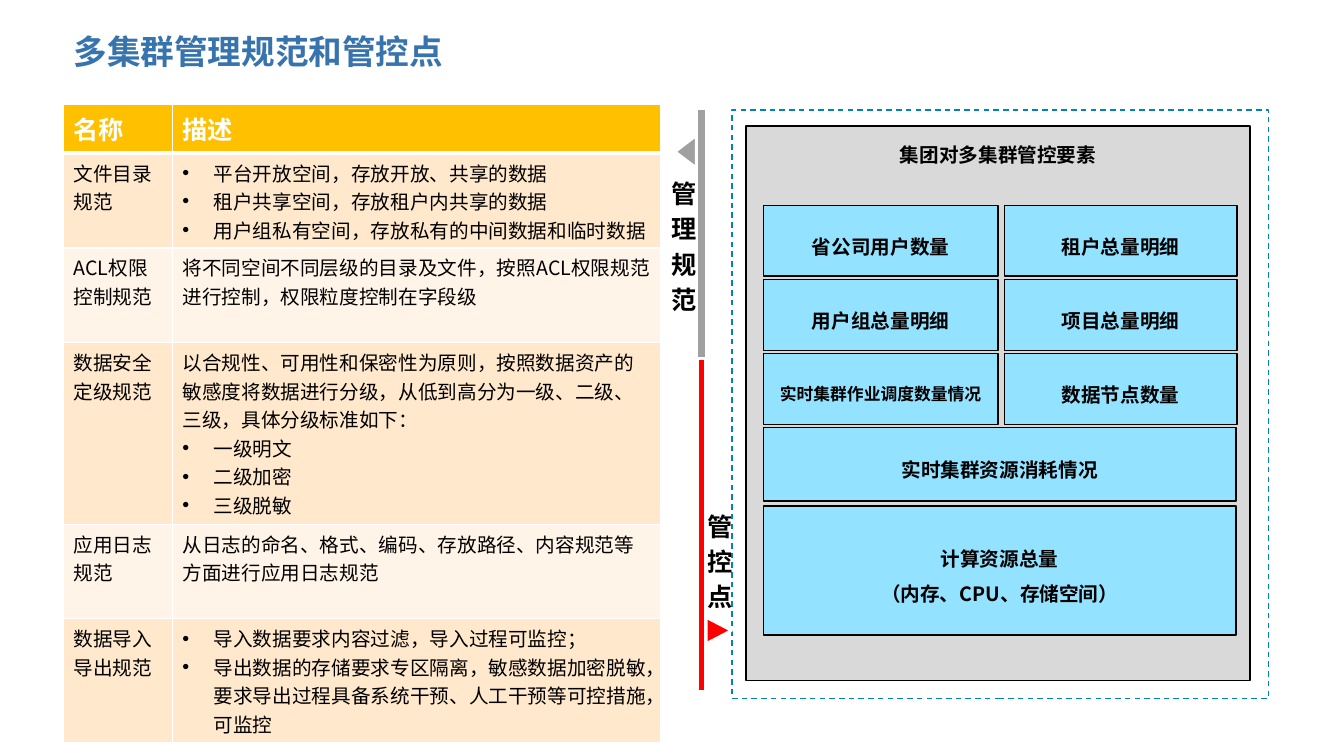
from lxml import etree
from pptx import Presentation
from pptx.dml.color import RGBColor
from pptx.enum.dml import MSO_LINE
from pptx.enum.shapes import MSO_SHAPE
from pptx.enum.text import MSO_ANCHOR, PP_ALIGN
from pptx.oxml.ns import qn
from pptx.util import Inches, Pt

RECT, TRIANGLE = MSO_SHAPE.RECTANGLE, MSO_SHAPE.ISOSCELES_TRIANGLE
LEFT, CENTER = PP_ALIGN.LEFT, PP_ALIGN.CENTER
TOP, MIDDLE = MSO_ANCHOR.TOP, MSO_ANCHOR.MIDDLE
DASH = MSO_LINE.DASH
FONT = "Noto Sans CJK SC"
COLORS = {
    "white": "FFFFFF", "black": "000000", "title": "3773AC", "header": "FFC000",
    "band_dark": "FFE8CC", "band_light": "FFF4E7", "frame": "0084B4",
    "panel": "D9D9D9", "box": "93E2FF", "gray": "A0A0A0", "red": "FF0000",
}
BULLET = "• "
COL_WIDTHS = [1.08, 4.84]
ROW_HEIGHTS = [0.48, 0.94, 0.94, 1.8, 0.94, 1.23]
RULES = [
    ("名称", ["描述"]),
    ("文件目录规范", ["• 平台开放空间，存放开放、共享的数据",
                "• 租户共享空间，存放租户内共享的数据",
                "• 用户组私有空间，存放私有的中间数据和临时数据"]),
    ("ACL权限控制规范", ["将不同空间不同层级的目录及文件，按照ACL权限规范进行控制，权限粒度控制在字段级"]),
    ("数据安全定级规范", ["以合规性、可用性和保密性为原则，按照数据资产的敏感度将数据进行分级，"
                  "从低到高分为一级、二级、三级，具体分级标准如下：",
                  "• 一级明文", "• 二级加密", "• 三级脱敏"]),
    ("应用日志规范", ["从日志的命名、格式、编码、存放路径、内容规范等方面进行应用日志规范"]),
    ("数据导入导出规范", ["• 导入数据要求内容过滤，导入过程可监控；",
                  "• 导出数据的存储要求专区隔离，敏感数据加密脱敏，"
                  "要求导出过程具备系统干预、人工干预等可控措施，可监控"]),
]
CONTROL_GRID = [
    [("省公司用户数量", 14), ("租户总量明细", 14)],
    [("用户组总量明细", 14), ("项目总量明细", 14)],
    [("实时集群作业调度数量情况", 12), ("数据节点数量", 14)],
]


def rgb(name):
    """Return the named colour."""
    return RGBColor.from_string(COLORS[name])


def add_bullet(p):
    """Give a paragraph a hanging bullet."""
    pPr = p._p.get_or_add_pPr()
    pPr.set("marL", str(Inches(0.31)))
    pPr.set("indent", str(-Inches(0.31)))
    etree.SubElement(pPr, qn("a:buFont"), typeface="Arial")
    etree.SubElement(pPr, qn("a:buChar"), char=BULLET.strip())


def write(tf, lines, size=14, color="black", bold=True, align=LEFT, spacing=None, before=0):
    """Fill a text frame with one paragraph per line."""
    for i, line in enumerate(lines):
        p = tf.add_paragraph() if i else tf.paragraphs[0]
        p.alignment = align
        if spacing:
            p.line_spacing = spacing
        if i and before:
            p.space_before = Pt(before)
        if line.startswith(BULLET):
            add_bullet(p)
        r = p.add_run()
        r.text = line.removeprefix(BULLET)
        r.font.name, r.font.size, r.font.bold = FONT, Pt(size), bold
        r.font.color.rgb = rgb(color)
        etree.SubElement(r._r.get_or_add_rPr(), qn("a:ea"), typeface=FONT)


def add_text(s, lines, x, y, w, h, wrap=False, anchor=TOP, **fmt):
    """Add a text box."""
    tf = s.shapes.add_textbox(Inches(x), Inches(y), Inches(w), Inches(h)).text_frame
    tf.word_wrap, tf.vertical_anchor = wrap, anchor
    write(tf, lines, **fmt)


def add_shape(s, kind, x, y, w, h, fill, line="black", width=1, rotation=0):
    """Add a filled and outlined preset shape."""
    sp = s.shapes.add_shape(kind, Inches(x), Inches(y), Inches(w), Inches(h))
    sp.shadow.inherit = False
    sp.fill.solid()
    sp.fill.fore_color.rgb = rgb(fill)
    sp.line.color.rgb = rgb(line)
    sp.line.width = Pt(width)
    sp.rotation = rotation
    return sp


def add_box(s, lines, x, y, w, h, fill="box", size=14, anchor=MIDDLE):
    """Add a labelled rectangle."""
    tf = add_shape(s, RECT, x, y, w, h, fill).text_frame
    tf.word_wrap, tf.vertical_anchor = True, anchor
    tf.margin_left = tf.margin_right = Inches(0.04)
    write(tf, lines, size=size, align=CENTER, spacing=1.5)


def set_borders(cell, bottom=1):
    """Draw white borders round a cell."""
    tcPr = cell._tc.get_or_add_tcPr()
    for i, (side, width) in enumerate([("L", 1), ("R", 1), ("T", 1), ("B", bottom)]):
        ln = etree.Element(qn("a:ln" + side), w=str(Pt(width)))
        solid = etree.SubElement(ln, qn("a:solidFill"))
        etree.SubElement(solid, qn("a:srgbClr"), val=COLORS["white"])
        tcPr.insert(i, ln)


def add_rules_table(s):
    """Add the table of management rules."""
    table = s.shapes.add_table(len(RULES), 2, Inches(0.63), Inches(1.04),
                               Inches(sum(COL_WIDTHS)), Inches(sum(ROW_HEIGHTS))).table
    for col, width in zip(table.columns, COL_WIDTHS):
        col.width = Inches(width)
    for i, (name, lines) in enumerate(RULES):
        table.rows[i].height = Inches(ROW_HEIGHTS[i])
        fill = "header" if i == 0 else "band_dark" if i % 2 else "band_light"
        fmt = {"bold": False} if i else {"size": 18, "color": "white"}
        for j, content in enumerate([[name], lines]):
            cell = table.cell(i, j)
            cell.fill.solid()
            cell.fill.fore_color.rgb = rgb(fill)
            set_borders(cell, bottom=1 if i else 3)
            write(cell.text_frame, content, **fmt)


def add_control_panel(s):
    """Add the framed panel of control elements."""
    frame = add_shape(s, RECT, 7.26, 1.09, 5.32, 5.84, "white", "frame")
    frame.line.dash_style = DASH
    add_box(s, ["集团对多集群管控要素"], 7.4, 1.25, 5, 5.5, fill="panel", anchor=TOP)
    for i, row in enumerate(CONTROL_GRID):
        for (label, size), x, w in zip(row, [7.57, 9.96], [2.33, 2.31]):
            add_box(s, [label], x, 2.04 + 0.735 * i, w, 0.7, size=size)
    add_box(s, ["实时集群资源消耗情况"], 7.57, 4.24, 4.69, 0.73)
    add_box(s, ["计算资源总量", "（内存、CPU、存储空间）"], 7.57, 5.02, 4.69, 1.28)


def add_divider(s):
    """Add the two-part divider with its pointers and vertical labels."""
    add_shape(s, RECT, 6.91, 1.08, 0.1, 3.16, "gray", "white", 2)
    add_shape(s, RECT, 6.92, 3.56, 0.08, 3.3, "red", "white", 2)
    add_shape(s, TRIANGLE, 6.64, 1.4, 0.32, 0.21, "gray", "white", 2, 270)
    add_shape(s, TRIANGLE, 7, 6.13, 0.26, 0.25, "red", "white", 2, 90)
    add_text(s, list("管理规范"), 6.56, 1.72, 0.45, 1.49, size=18, before=3.6)
    add_text(s, list("管控点"), 6.92, 5.02, 0.45, 1.13, size=18, before=3.6)


def main():
    """Build and save the slide."""
    prs = Presentation()
    prs.slide_width, prs.slide_height = Inches(13.33), Inches(7.5)
    s = prs.slides.add_slide(prs.slide_layouts[6])
    add_text(s, ["多集群管理规范和管控点"], 0.63, 0.19, 7.92, 0.63,
             wrap=True, anchor=MIDDLE, size=24, color="title")
    add_rules_table(s)
    add_control_panel(s)
    add_divider(s)
    prs.save("out.pptx")


if __name__ == "__main__":
    main()
